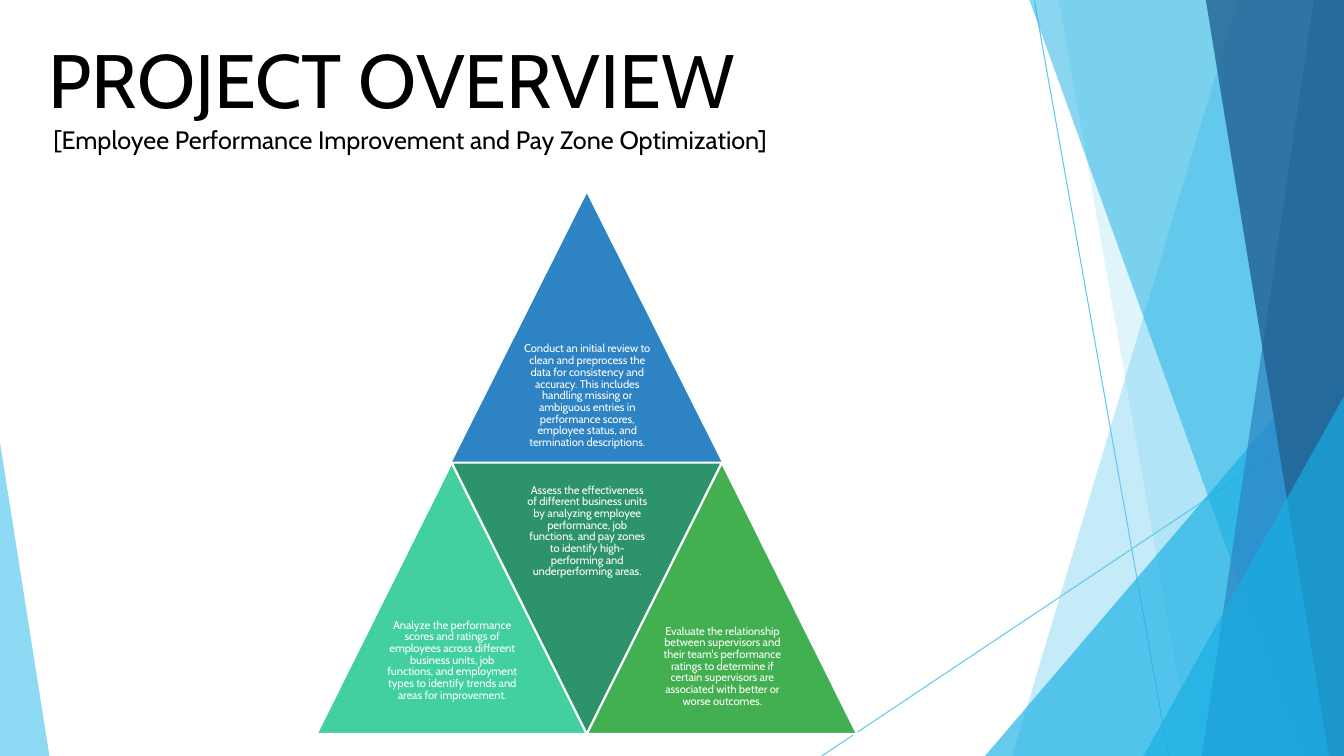
from dataclasses import dataclass

from lxml.etree import SubElement
from pptx import Presentation
from pptx.dml.color import RGBColor
from pptx.enum.shapes import MSO_CONNECTOR
from pptx.enum.text import MSO_ANCHOR, PP_ALIGN
from pptx.oxml.ns import qn
from pptx.util import Inches, Pt


@dataclass(frozen=True)
class Theme:
    font: str = "Cabin"
    black: str = "000000"
    white: str = "FFFFFF"
    sky: str = "5FCAEE"
    cyan: str = "17AFE3"
    blue: str = "2D83C3"
    navy: str = "226192"
    mint: str = "42D0A1"
    teal: str = "2D936B"
    green: str = "42AF51"
    title_size: int = 54
    subtitle_size: int = 18
    body_size: int = 8


THEME = Theme()
WIDTH, HEIGHT = 13.33, 7.5

# Ribbons from back to front: corner points, colour, opacity in percent
RIBBONS = [
    ([(WIDTH, 0), (12.28, 0), (10.04, HEIGHT), (WIDTH, HEIGHT)], THEME.sky, 36),
    ([(WIDTH, 0), (10.5, 0), (11.82, HEIGHT), (WIDTH, HEIGHT)], THEME.sky, 20),
    ([(WIDTH, 3.33), (9.77, HEIGHT), (WIDTH, HEIGHT)], THEME.cyan, 66),
    ([(WIDTH, 0), (10.21, 0), (12.91, HEIGHT), (WIDTH, HEIGHT)], THEME.cyan, 50),
    ([(WIDTH, 0), (13.03, 0), (11.92, HEIGHT), (WIDTH, HEIGHT)], THEME.blue, 70),
    ([(WIDTH, 0), (11.96, 0), (13.18, HEIGHT), (WIDTH, HEIGHT)], THEME.navy, 80),
    ([(WIDTH, 3.93), (11.34, HEIGHT), (WIDTH, HEIGHT)], THEME.cyan, 66),
    ([(0, 4.39), (0, HEIGHT), (0.49, HEIGHT)], THEME.sky, 70),
]

# Pyramid geometry
CENTER, TOP, MIDDLE, BOTTOM, HALF = 5.82, 1.92, 4.59, 7.28, 1.34

# Triangles: tip x, tip y, base y, colour, outline
TRIANGLES = [
    (CENTER, TOP, MIDDLE, THEME.blue, None),
    (CENTER - HALF, MIDDLE, BOTTOM, THEME.mint, THEME.white),
    (CENTER, BOTTOM, MIDDLE, THEME.teal, THEME.white),
    (CENTER + HALF, MIDDLE, BOTTOM, THEME.green, THEME.white),
]

# Goals: text box left, top, width, height, wording
GOALS = [
    (5.18, 3.38, 1.29, 1.1,
     "Conduct an initial review to clean and preprocess the data for consistency "
     "and accuracy. This includes handling missing or ambiguous entries in "
     "performance scores, employee status, and termination descriptions."),
    (3.84, 6.12, 1.29, 0.91,
     "Analyze the performance scores and ratings of employees across different "
     "business units, job functions, and employment types to identify trends and "
     "areas for improvement."),
    (5.21, 4.78, 1.23, 1,
     "Assess the effectiveness of different business units by analyzing employee "
     "performance, job functions, and pay zones to identify high-performing and "
     "underperforming areas."),
    (6.52, 6.18, 1.29, 0.8,
     "Evaluate the relationship between supervisors and their team's performance "
     "ratings to determine if certain supervisors are associated with better or "
     "worse outcomes."),
]


def add_polygon(slide, points, color, opacity=100, outline=None):
    corners = [(Inches(x), Inches(y)) for x, y in points]
    builder = slide.shapes.build_freeform(*corners[0])
    builder.add_line_segments(corners[1:], close=True)
    shape = builder.convert_to_shape()
    shape.shadow.inherit = False
    shape.fill.solid()
    shape.fill.fore_color.rgb = RGBColor.from_string(color)
    if opacity < 100:
        color_element = shape.fill._xPr.find(".//" + qn("a:srgbClr"))
        SubElement(color_element, qn("a:alpha")).set("val", str(opacity * 1000))
    if outline:
        shape.line.color.rgb = RGBColor.from_string(outline)
        shape.line.width = Pt(1.5)
    else:
        shape.line.fill.background()


def add_thin_line(slide, *ends):
    connector = slide.shapes.add_connector(
        MSO_CONNECTOR.STRAIGHT, *[Inches(value) for value in ends])
    connector.line.color.rgb = RGBColor.from_string(THEME.sky)
    connector.line.width = Pt(0.75)
    SubElement(connector._element.spPr, qn("a:effectLst"))


def add_text_frame(slide, left, top, width, height, inset):
    box = slide.shapes.add_textbox(
        Inches(left), Inches(top), Inches(width), Inches(height))
    frame = box.text_frame
    frame.word_wrap = True
    frame.vertical_anchor = MSO_ANCHOR.TOP
    frame.margin_left = frame.margin_right = frame.margin_bottom = 0
    frame.margin_top = Inches(inset)
    return frame


def write(paragraph, text, *, size, color, line_spacing, align=PP_ALIGN.LEFT,
          indent=0, space_before=0, tracking=0):
    paragraph.alignment = align
    paragraph.line_spacing = line_spacing
    paragraph.space_before = Pt(space_before)
    paragraph._p.get_or_add_pPr().set("marL", str(Inches(indent)))
    run = paragraph.add_run()
    run.text = text
    run.font.name = THEME.font
    run.font.size = Pt(size)
    run.font.color.rgb = RGBColor.from_string(color)
    run._r.get_or_add_rPr().set("spc", str(tracking))


def add_heading(slide):
    frame = add_text_frame(slide, 0.33, 0.27, 8.81, 1.26, inset=0.06)
    write(frame.paragraphs[0], "PROJECT OVERVIEW", size=THEME.title_size,
          color=THEME.black, line_spacing=Pt(64.8), indent=0.15,
          space_before=1.1, tracking=-5)
    write(frame.add_paragraph(),
          "[Employee Performance Improvement and Pay Zone Optimization]",
          size=THEME.subtitle_size, color=THEME.black,
          line_spacing=Pt(21.6), indent=0.2)


def add_triangle(slide, tip_x, tip_y, base_y, color, outline):
    points = [(tip_x, tip_y), (tip_x - HALF, base_y), (tip_x + HALF, base_y)]
    add_polygon(slide, points, color, outline=outline)


def add_goal(slide, left, top, width, height, text):
    frame = add_text_frame(slide, left, top, width, height, inset=0.03)
    write(frame.paragraphs[0], text, size=THEME.body_size, color=THEME.white,
          line_spacing=0.87, align=PP_ALIGN.CENTER, space_before=2.5, tracking=-6)


def main():
    presentation = Presentation()
    presentation.slide_width = Inches(WIDTH)
    presentation.slide_height = Inches(HEIGHT)
    slide = presentation.slides.add_slide(presentation.slide_layouts[6])

    # Background decoration
    add_thin_line(slide, 10.26, 0.01, 11.59, HEIGHT)
    add_thin_line(slide, WIDTH, 4.04, 8.15, HEIGHT)
    for points, color, opacity in RIBBONS:
        add_polygon(slide, points, color, opacity)

    # Title and subtitle
    add_heading(slide)

    # Pyramid of goals
    for triangle in TRIANGLES:
        add_triangle(slide, *triangle)
    for goal in GOALS:
        add_goal(slide, *goal)

    presentation.save("out.pptx")


if __name__ == "__main__":
    main()
